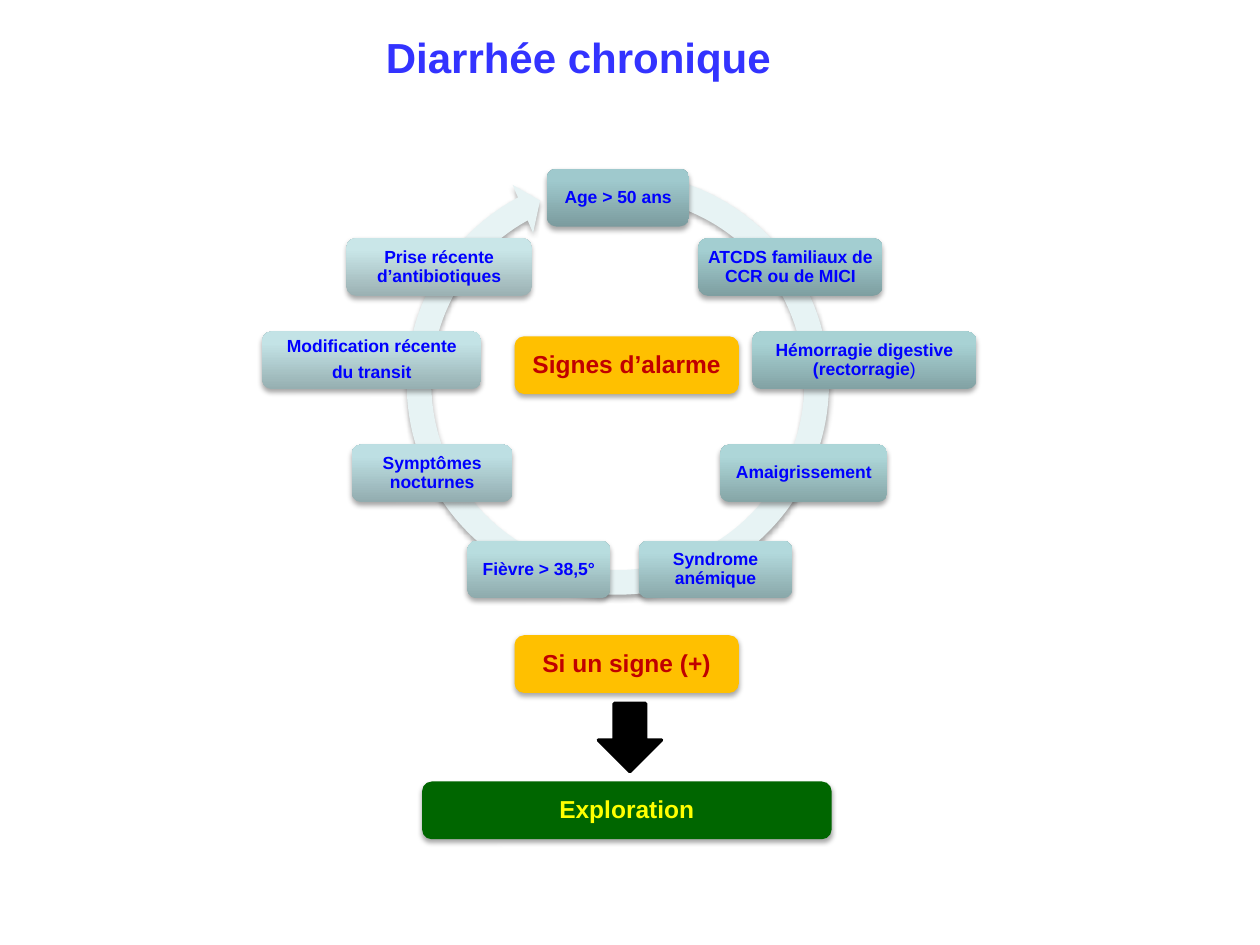
"""Build the slide on warning signs in chronic diarrhoea."""
import copy
import dataclasses

import pptx
import pptx.dml.color
import pptx.enum.shapes
import pptx.enum.text
import pptx.oxml
import pptx.oxml.ns
import pptx.util

Pt = pptx.util.Pt
RGB = pptx.dml.color.RGBColor.from_string
KIND = pptx.enum.shapes.MSO_SHAPE
ALIGN = pptx.enum.text.PP_ALIGN
ANCHOR = pptx.enum.text.MSO_ANCHOR


@dataclasses.dataclass(frozen=True)
class Theme:
    font: str = "Arial"
    title: str = "3333FF"
    label: str = "0000FF"
    ring: str = "E7F3F4"
    alarm: str = "FFC000"
    alert: str = "C00000"
    green: str = "006600"
    yellow: str = "FFFF00"
    black: str = "000000"
    large: int = 24
    medium: int = 14
    small: int = 10


THEME = Theme()
HIGH = 33
STOPS = (0, 0.8, 1)
ROWS = (96.5, 136.1, 189.4, 254, 309)

# Text, unbolded tail, left, row, width, gradient from bottom to top
NODES = (
    ("Age > 50 ans", "", 312.5, 0, 81.4, "7B9B9E 9FC9CD 9FCBCF"),
    ("ATCDS familiaux de CCR ou de MICI", "", 399, 1, 105.3, "7E9FA1 A3CED1 A3D0D3"),
    ("Hémorragie digestive (rectorragie", ")", 429.8, 2, 128.2, "82A2A4 A8D2D4 A8D4D6"),
    ("Amaigrissement", "", 411.5, 3, 95.6, "85A5A6 ADD6D8 ADD7DA"),
    ("Syndrome anémique", "", 365, 4, 87.8, "89A7A9 B2D9DC B2DBDE"),
    ("Fièvre > 38,5°", "", 267, 4, 81.8, "8EAAAC B8DDDF B9DFE1"),
    ("Symptômes nocturnes", "", 201, 3, 91.8, "92ACAF BDDFE3 BEE1E5"),
    ("Modification récente\ndu transit", "", 149.8, 2, 125.3, "96AFB1 C3E3E6 C3E5E8"),
    ("Prise récente d’antibiotiques", "", 198, 1, 105.8, "9BB1B3 C9E6E8 C9E7EA"),
)


def write(frame, text, size, color, tail="", lead=0.9, after=0, inset=2.5):
    """Fill a text frame with centred bold lines and an optional plain tail."""
    frame.word_wrap = True
    frame.margin_left = frame.margin_right = Pt(inset)
    frame.margin_top = frame.margin_bottom = Pt(inset)
    lines = text.split("\n")
    for index, line in enumerate(lines):
        para = frame.add_paragraph() if index else frame.paragraphs[0]
        para.alignment = ALIGN.CENTER
        para.line_spacing = lead
        para.space_after = Pt(after)
        parts = [(line, True)]
        if tail and index == len(lines) - 1:
            parts.append((tail, False))
        for words, bold in parts:
            run = para.add_run()
            run.text = words
            run.font.name = THEME.font
            run.font.size = Pt(size)
            run.font.bold = bold
            run.font.color.rgb = RGB(color)


def shade(shape):
    """Give a shape a soft shadow below it."""
    shape.shadow.inherit = False
    effect = shape._element.spPr.find(pptx.oxml.ns.qn("a:effectLst"))
    effect.append(pptx.oxml.parse_xml(
        f'<a:outerShdw {pptx.oxml.ns.nsdecls("a")} blurRad="{Pt(3.1)}" '
        f'dist="{Pt(1.8)}" dir="5400000" rotWithShape="0">'
        f'<a:srgbClr val="{THEME.black}"><a:alpha val="35000"/></a:srgbClr>'
        '</a:outerShdw>'))


def blend(fill, shape, colors):
    """Fill a shape with an upright gradient of three colours."""
    fill.gradient()
    fill.gradient_angle = 90
    stops = shape._element.spPr.find(".//" + pptx.oxml.ns.qn("a:gsLst"))
    stops.append(copy.deepcopy(stops[-1]))
    for stop, place, color in zip(fill.gradient_stops, STOPS, colors):
        stop.position = place
        stop.color.rgb = RGB(color)


def draw(slide, kind, left, top, width, height, *colors):
    """Add an unlined shape with a plain or gradient fill."""
    shape = slide.shapes.add_shape(kind, Pt(left), Pt(top), Pt(width), Pt(height))
    shape.line.fill.background()
    shape.shadow.inherit = False
    if len(colors) > 1:
        blend(shape.fill, shape, colors)
    else:
        shape.fill.solid()
        shape.fill.fore_color.rgb = RGB(colors[0])
    return shape


def box(slide, text, left, top, width, colors, **style):
    """Add a shadowed round box that holds text."""
    shape = draw(slide, KIND.ROUNDED_RECTANGLE, left, top, width, HIGH, *colors)
    shade(shape)
    shape.text_frame.vertical_anchor = ANCHOR.MIDDLE
    write(shape.text_frame, text, after=4, **style)


def head(slide, text):
    """Add the title."""
    area = slide.shapes.add_textbox(Pt(60), Pt(0), Pt(541), Pt(45))
    write(area.text_frame, text, size=THEME.large, color=THEME.title,
          lead=1.5, inset=3.6)


def ring(slide):
    """Add the round arrow behind the signs."""
    shape = draw(slide, KIND.CIRCULAR_ARROW, 224.6, 90.7, 257, 257, THEME.ring)
    for index, value in enumerate((0.055, 3.307, 144.881, 169.661, 0.058)):
        shape.adjustments[index] = value
    shade(shape)


def arrow(slide):
    """Add the black arrow that leads down."""
    shape = draw(slide, KIND.DOWN_ARROW, 342, 402, 36, 38.9, THEME.black)
    shape.line.color.rgb = RGB(THEME.black)
    shape.line.width = Pt(2)


def main():
    """Build and save the slide."""
    deck = pptx.Presentation()
    deck.slide_width, deck.slide_height = Pt(720), Pt(540)
    slide = deck.slides.add_slide(deck.slide_layouts[6])
    head(slide, "Diarrhée chronique")
    ring(slide)
    for text, tail, left, row, width, colors in NODES:
        box(slide, text, left, ROWS[row], width, colors.split(),
            size=THEME.small, color=THEME.label, tail=tail)
    arrow(slide)
    box(slide, "Exploration", 241.2, 446.6, 234, [THEME.green],
        size=THEME.medium, color=THEME.yellow)
    for text, top in (("Signes d’alarme", 192.2), ("Si un signe (+)", 363)):
        box(slide, text, 294, top, 128.2, [THEME.alarm],
            size=THEME.medium, color=THEME.alert)
    deck.save("out.pptx")


if __name__ == "__main__":
    main()
